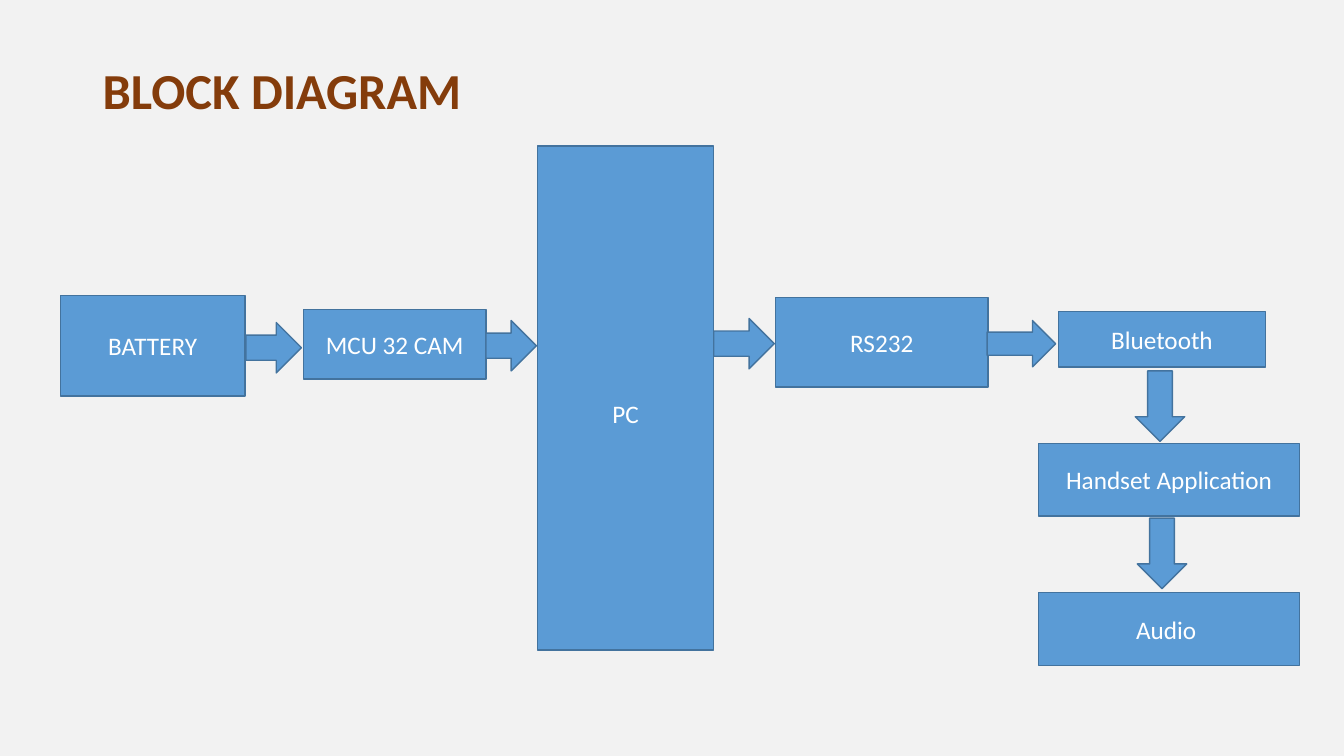
from pptx import Presentation
from pptx.dml.color import RGBColor
from pptx.enum.shapes import MSO_SHAPE
from pptx.enum.text import MSO_ANCHOR, PP_ALIGN
from pptx.util import Inches, Pt

COLORS = {
    "background": "F2F2F2",
    "title": "843C0B",
    "block": "5B9BD5",
    "outline": "43739E",
    "label": "FFFFFF",
}
FONT = "Calibri"

BLOCKS = [
    ("BATTERY", (0.6, 2.93, 1.83, 1)),
    ("MCU 32 CAM", (3.01, 3.07, 1.81, 0.69)),
    ("PC", (5.33, 1.45, 1.75, 5)),
    ("RS232", (7.69, 2.95, 2.11, 0.89)),
    ("Bluetooth", (10.5, 3.09, 2.05, 0.55)),
    ("Handset Application", (10.3, 4.4, 2.59, 0.72)),
    ("Audio ", (10.3, 5.88, 2.59, 0.72)),
]
LABEL_DROP = {"PC": 0.3}

RIGHT_ARROWS = [
    (2.44, 3.2, 0.55, 0.5),
    (4.82, 3.18, 0.5, 0.5),
    (7.08, 3.16, 0.6, 0.5),
    (9.79, 3.18, 0.68, 0.46),
]
DOWN_ARROWS = [(11.26, 3.68, 0.49, 0.7), (11.28, 5.14, 0.49, 0.7)]


def color(name):
    """Return the named palette colour."""
    return RGBColor.from_string(COLORS[name])


def add_span(para, text, size, color_name, bold=False):
    """Add one formatted run to a paragraph."""
    span = para.add_run()
    span.text = text
    span.font.name = FONT
    span.font.size = Pt(size)
    span.font.bold = bold
    span.font.color.rgb = color(color_name)


def add_title(page, box, text):
    """Write the slide title in the given box."""
    frame = page.shapes.add_textbox(*map(Inches, box)).text_frame
    frame.word_wrap = True
    frame.vertical_anchor = MSO_ANCHOR.MIDDLE
    para = frame.paragraphs[0]
    para.line_spacing = 0.9
    add_span(para, text, 36, "title", bold=True)


def add_figure(page, kind, box):
    """Draw a filled and outlined shape in the given box."""
    figure = page.shapes.add_shape(kind, *map(Inches, box))
    figure.shadow.inherit = False
    figure.fill.solid()
    figure.fill.fore_color.rgb = color("block")
    figure.line.color.rgb = color("outline")
    figure.line.width = Pt(1)
    return figure


def add_block(page, box, label):
    """Draw a labelled block in the given box."""
    frame = add_figure(page, MSO_SHAPE.RECTANGLE, box).text_frame
    frame.word_wrap = True
    frame.vertical_anchor = MSO_ANCHOR.MIDDLE
    frame.margin_top = Inches(0.05 + LABEL_DROP.get(label, 0))
    para = frame.paragraphs[0]
    para.alignment = PP_ALIGN.CENTER
    add_span(para, label, 18, "label")


def add_diagram(page):
    """Draw the blocks and the arrows between them."""
    for label, box in BLOCKS:
        add_block(page, box, label)
    for box in RIGHT_ARROWS:
        add_figure(page, MSO_SHAPE.RIGHT_ARROW, box)
    for box in DOWN_ARROWS:
        add_figure(page, MSO_SHAPE.DOWN_ARROW, box)


def main():
    """Build and save the block diagram slide."""
    deck = Presentation()
    deck.slide_width = Inches(13.33)
    deck.slide_height = Inches(7.5)
    page = deck.slides.add_slide(deck.slide_layouts[6])
    page.background.fill.solid()
    page.background.fill.fore_color.rgb = color("background")
    add_title(page, (0.92, 0.4, 10.87, 1.05), "BLOCK DIAGRAM")
    add_diagram(page)
    deck.save("out.pptx")


if __name__ == "__main__":
    main()
